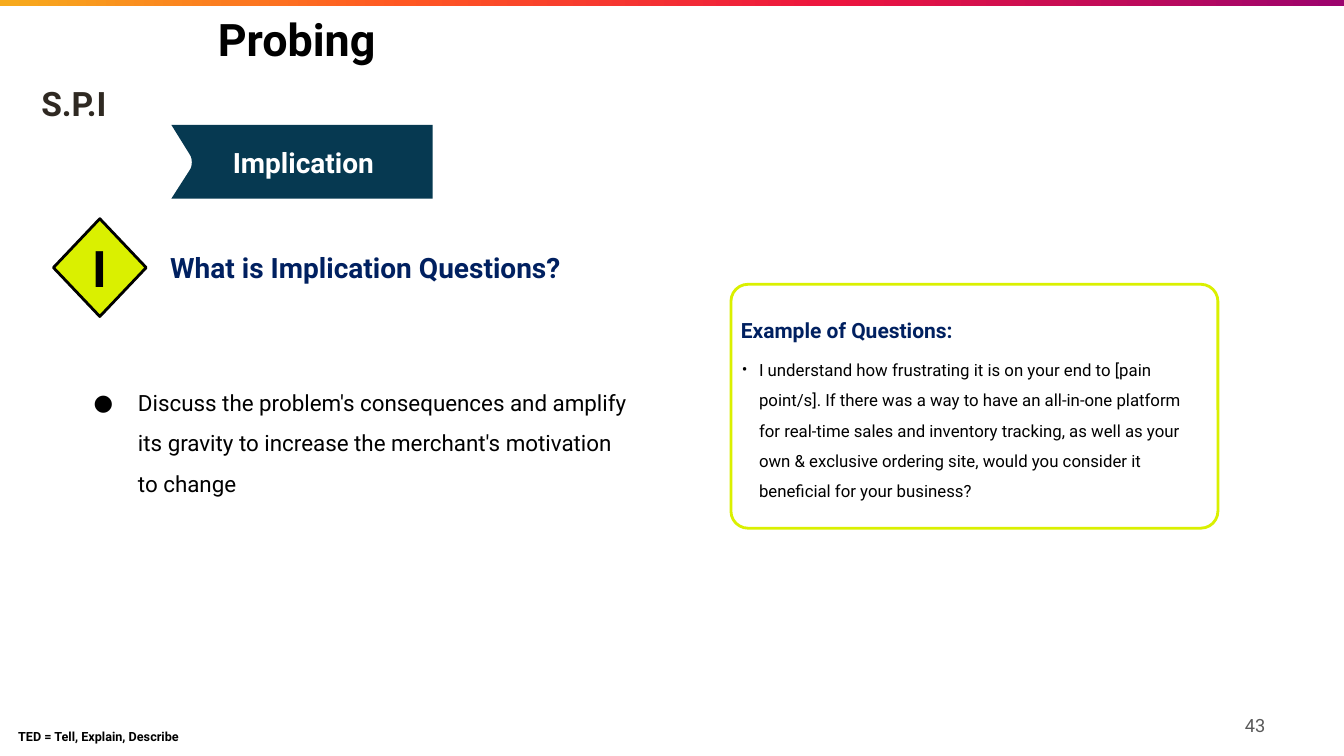
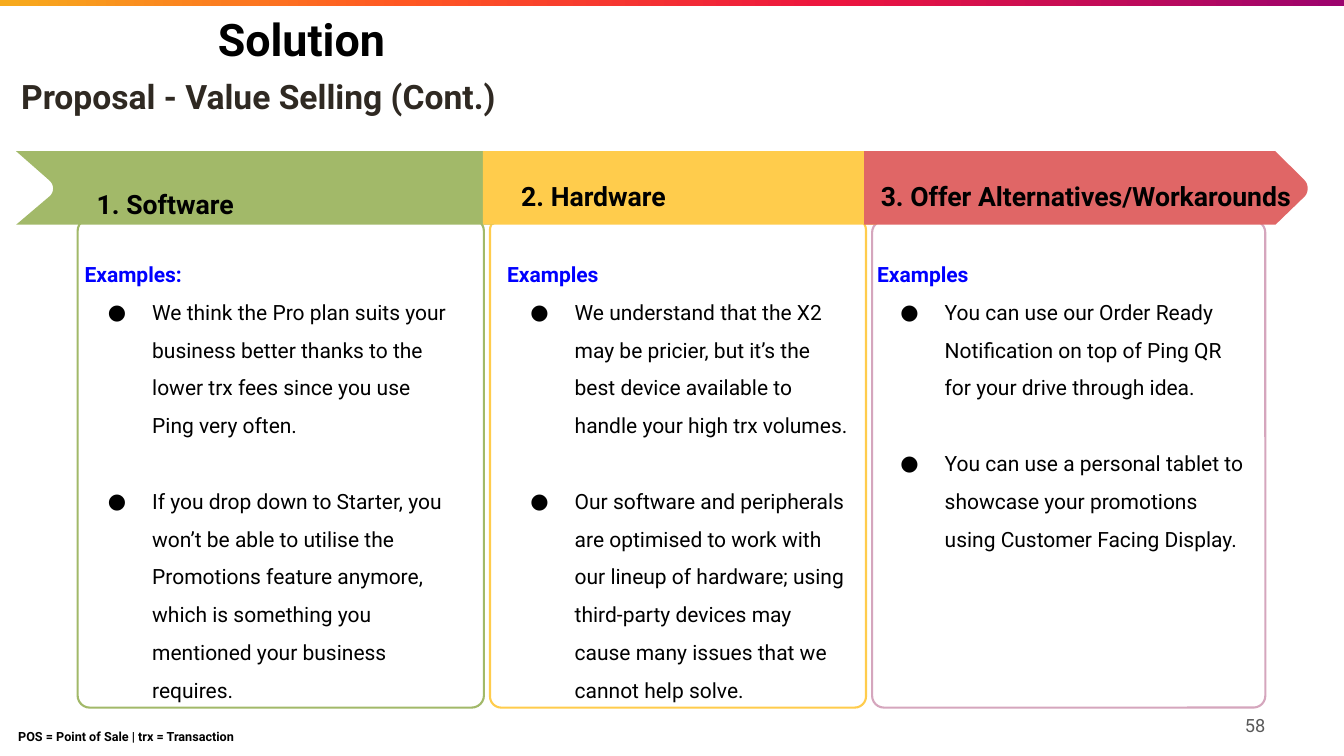
from copy import deepcopy
from dataclasses import dataclass
from typing import Optional

from lxml.etree import SubElement
from pptx import Presentation
from pptx.dml.color import RGBColor
from pptx.enum.shapes import MSO_SHAPE
from pptx.enum.text import MSO_ANCHOR, MSO_AUTO_SIZE, PP_ALIGN
from pptx.oxml.ns import qn
from pptx.util import Inches, Pt

BLACK = RGBColor(0x00, 0x00, 0x00)
WHITE = RGBColor(0xFF, 0xFF, 0xFF)
BROWN = RGBColor(0x2F, 0x29, 0x22)
GRAY = RGBColor(0x59, 0x59, 0x59)
NAVY = RGBColor(0x00, 0x20, 0x60)
TEAL = RGBColor(0x06, 0x39, 0x51)
BLUE = RGBColor(0x00, 0x00, 0xFF)
LIME = RGBColor(0xDA, 0xF0, 0x00)
GREEN = RGBColor(0xA2, 0xB9, 0x69)
AMBER = RGBColor(0xFF, 0xCC, 0x4C)
CORAL = RGBColor(0xE0, 0x66, 0x66)
PINK = RGBColor(0xD5, 0xA6, 0xBD)
STOPS = [
    (0, RGBColor(0xF7, 0xAB, 0x1D)),
    (0.3, RGBColor(0xFF, 0x57, 0x22)),
    (0.62, RGBColor(0xEC, 0x15, 0x3F)),
    (1, RGBColor(0x9C, 0x03, 0x6D)),
]

FONT = "Roboto"
WIDTH, HEIGHT = 13.33, 7.5
BAND_TOP, BAND_HIGH = 1.5, 0.73
PAD = (0.1, 0.05)
WIDE = (0.13, 0.13)
THIN = (0.06, 0.06)

Box = tuple[float, float, float, float]


@dataclass
class Para:
    text: str
    size: float
    color: RGBColor = BLACK
    bold: bool = False
    align: PP_ALIGN = PP_ALIGN.LEFT
    lines: float = 1
    before: float = 0
    bullet: str = ""
    margin: float = 0
    hang: float = 0


@dataclass
class Card:
    frame: Box
    color: RGBColor
    text: Box
    head: str
    items: list[str]


CARDS = [
    Card((0.77, 2.17, 4.03, 4.85), GREEN, (0.71, 2.34, 3.9, 4.69), "Examples:", [
        "We think the Pro plan suits your business better thanks to the lower "
        "trx fees since you use Ping very often.",
        "If you drop down to Starter, you won’t be able to utilise the Promotions "
        "feature anymore, which is something you mentioned your business requires.",
    ]),
    Card((4.86, 2.17, 3.73, 4.85), AMBER, (4.9, 2.34, 3.65, 4.69), "Examples", [
        "We understand that the X2 may be pricier, but it’s the best device "
        "available to handle your high trx volumes.",
        "Our software and peripherals are optimised to work with our lineup of "
        "hardware; using third-party devices may cause many issues that we cannot "
        "help solve.",
    ]),
    Card((8.65, 2.19, 3.9, 4.83), PINK, (8.57, 2.34, 3.9, 3.55), "Examples", [
        "You can use our Order Ready Notification on top of Ping QR for your "
        "drive through idea.",
        "You can use a personal tablet to showcase your promotions using "
        "Customer Facing Display.",
    ]),
]


def write(shape, paras: list[Para], pad: tuple[float, float] = PAD,
          anchor: MSO_ANCHOR = MSO_ANCHOR.TOP) -> None:
    frame = shape.text_frame
    side, end = (Inches(gap) for gap in pad)
    style = {"word_wrap": True, "auto_size": MSO_AUTO_SIZE.NONE,
             "vertical_anchor": anchor, "margin_left": side,
             "margin_right": side, "margin_top": end, "margin_bottom": end}
    for name, value in style.items():
        setattr(frame, name, value)
    for index, para in enumerate(paras):
        line = frame.add_paragraph() if index else frame.paragraphs[0]
        props = line._p.get_or_add_pPr()
        props.set("marL", str(Inches(para.margin)))
        props.set("indent", str(Inches(para.hang)))
        if para.bullet:
            tint = SubElement(props, qn("a:buClr"))
            SubElement(tint, qn("a:srgbClr"), val=str(BLACK))
            SubElement(props, qn("a:buFont"), typeface=FONT)
            SubElement(props, qn("a:buChar"), char=para.bullet)
        line.alignment = para.align
        line.line_spacing = para.lines
        line.space_before = Pt(para.before)
        run = line.add_run()
        run.text = para.text
        look = {"name": FONT, "size": Pt(para.size), "bold": para.bold}
        for name, value in look.items():
            setattr(run.font, name, value)
        run.font.color.rgb = para.color


def label(slide, box: Box, paras: list[Para],
          pad: tuple[float, float] = PAD,
          anchor: MSO_ANCHOR = MSO_ANCHOR.TOP) -> None:
    write(slide.shapes.add_textbox(*map(Inches, box)), paras, pad, anchor)


def paint(shape, fill: Optional[RGBColor], line: Optional[RGBColor] = None,
          width: float = 0) -> None:
    shape.shadow.inherit = False
    if fill is None:
        shape.fill.background()
    else:
        shape.fill.solid()
        shape.fill.fore_color.rgb = fill
    if line is None:
        shape.line.fill.background()
    else:
        shape.line.color.rgb = line
        shape.line.width = Pt(width)


def block(slide, kind: MSO_SHAPE, box: Box, fill: Optional[RGBColor],
          line: Optional[RGBColor] = None, width: float = 0,
          round_by: Optional[float] = None):
    shape = slide.shapes.add_shape(kind, *map(Inches, box))
    paint(shape, fill, line, width)
    if round_by is not None:
        shape.adjustments[0] = round_by
    return shape


def ribbon(slide, edge: float, bend: float, peak: float, far: float,
           top: float, color: RGBColor):
    """Draw a band from far to edge whose end runs to a blunt point at peak."""
    low, high = 0.29, 0.45
    points = [(edge, top)]
    for step in range(9):
        t = step / 8
        bulge = 3 * t * (1 - t)
        x = bend + (peak - bend) * bulge
        y = (low * (1 - t) ** 3 + 0.33 * bulge * (1 - t)
             + 0.41 * bulge * t + high * t ** 3)
        points.append((x, top + y))
    bottom = top + BAND_HIGH
    points += [(edge, bottom), (far, bottom), (far, top)]
    first, *rest = [(Inches(x), Inches(y)) for x, y in points]
    outline = slide.shapes.build_freeform(*first)
    outline.add_line_segments(rest, close=True)
    shape = outline.convert_to_shape()
    paint(shape, color)
    return shape


def stripe(slide) -> None:
    bar = block(slide, MSO_SHAPE.RECTANGLE, (0, 0, WIDTH, 0.06), WHITE)
    bar.fill.gradient()
    bar.fill.gradient_angle = 0
    ramp = bar._element.spPr.find(".//" + qn("a:gsLst"))
    while len(ramp) < len(STOPS):
        ramp.append(deepcopy(ramp[0]))
    for stop, (place, color) in zip(bar.fill.gradient_stops, STOPS):
        stop.position = place
        stop.color.rgb = color


def start(deck, title: str, topic: str, spot: tuple[float, float],
          note: str, number: str):
    """Add a slide with the shared title, topic, stripe and footer."""
    slide = deck.slides.add_slide(deck.slide_layouts[5])
    head = slide.shapes.title
    place = dict(zip(("left", "top", "width", "height"), (2.13, 0, 8.46, 0.77)))
    for name, value in place.items():
        setattr(head, name, Inches(value))
    middle = MSO_ANCHOR.MIDDLE
    write(head, [Para(title, 32, bold=True)], (0.03, 0.03), middle)
    stripe(slide)
    label(slide, (*spot, 10, 0.4), [Para(topic, 24, BROWN, True)],
          (0.03, 0.03), middle)
    label(slide, (0, 7.12, 5.62, 0.38), [Para(note, 9, bold=True)],
          (0.18, 0), middle)
    label(slide, (11.88, 6.91, 0.8, 0.57),
          [Para(number, 13, GRAY, align=PP_ALIGN.RIGHT)], WIDE, middle)
    return slide


def probing(deck) -> None:
    slide = start(deck, "Probing", "S.P.I", (0.38, 0.82),
                  "TED = Tell, Explain, Describe", "43")
    ribbon(slide, 1.7, 1.88, 1.91, 4.29, 1.24, TEAL)
    label(slide, (2.16, 1.39, 1.7, 0.44),
          [Para("Implication", 20, WHITE, True, PP_ALIGN.CENTER)])
    sign = block(slide, MSO_SHAPE.DIAMOND, (0.53, 2.17, 0.92, 0.97),
                 LIME, BLACK, 2)
    write(sign, [Para("I", 36, bold=True, align=PP_ALIGN.CENTER)],
          anchor=MSO_ANCHOR.MIDDLE)
    label(slide, (1.59, 2.44, 4.3, 0.44),
          [Para("What is Implication Questions?", 20, NAVY, True)])
    label(slide, (0.6, 3.68, 5.79, 1.41), [Para(
        "Discuss the problem's consequences and amplify its gravity to "
        "increase the merchant's motivation to change",
        16, lines=1.5, bullet="●", margin=0.67, hang=-0.44)])
    block(slide, MSO_SHAPE.ROUNDED_RECTANGLE, (7.25, 2.82, 4.83, 2.42),
          None, LIME, 2, 0.07)
    label(slide, (7.25, 2.98, 2.57, 0.56),
          [Para("Example of Questions:", 15, NAVY, True, lines=1.5)])
    label(slide, (7.25, 3.42, 4.66, 1.5), [Para(
        "I understand how frustrating it is on your end to [pain point/s]. "
        "If there was a way to have an all-in-one platform for real-time sales "
        "and inventory tracking, as well as your own & exclusive ordering site, "
        "would you consider it beneficial for your business?",
        12, lines=1.5, bullet="•", margin=0.18, hang=-0.17)])


def solution(deck) -> None:
    slide = start(deck, "Solution", "Proposal - Value Selling (Cont.)",
                  (0.18, 0.75), "POS = Point of Sale | trx = Transaction", "58")
    for card in CARDS:
        block(slide, MSO_SHAPE.ROUNDED_RECTANGLE, card.frame, WHITE,
              card.color, 1.5, 0.03)
        paras = [Para(card.head, 15, BLUE, True, lines=1.5)]
        paras += [Para(item, 15, lines=1.5, before=27 if index else 0,
                       bullet="●", margin=0.67, hang=-0.44)
                  for index, item in enumerate(card.items)]
        label(slide, card.text, paras, WIDE)
    ribbon(slide, 0.16, 0.49, 0.54, 4.9, BAND_TOP, GREEN)
    label(slide, (0.16, 1.58, 3.9, 0.59),
          [Para("1. Software", 19, bold=True, lines=1.5, margin=0.67)], WIDE)
    band = block(slide, MSO_SHAPE.RECTANGLE,
                 (4.79, BAND_TOP, 3.9, BAND_HIGH), AMBER)
    write(band, [Para("2. Hardware", 19, bold=True, lines=1.5, margin=0.32)],
          THIN, MSO_ANCHOR.MIDDLE)
    arrow = ribbon(slide, 12.65, 12.94, 12.98, 8.57, BAND_TOP, CORAL)
    write(arrow, [Para("3. Offer Alternatives/Workarounds", 19, bold=True,
                       align=PP_ALIGN.CENTER, lines=1.5)],
          THIN, MSO_ANCHOR.MIDDLE)


def main() -> None:
    deck = Presentation()
    deck.slide_width = Inches(WIDTH)
    deck.slide_height = Inches(HEIGHT)
    probing(deck)
    solution(deck)
    deck.save("out.pptx")


if __name__ == "__main__":
    main()
